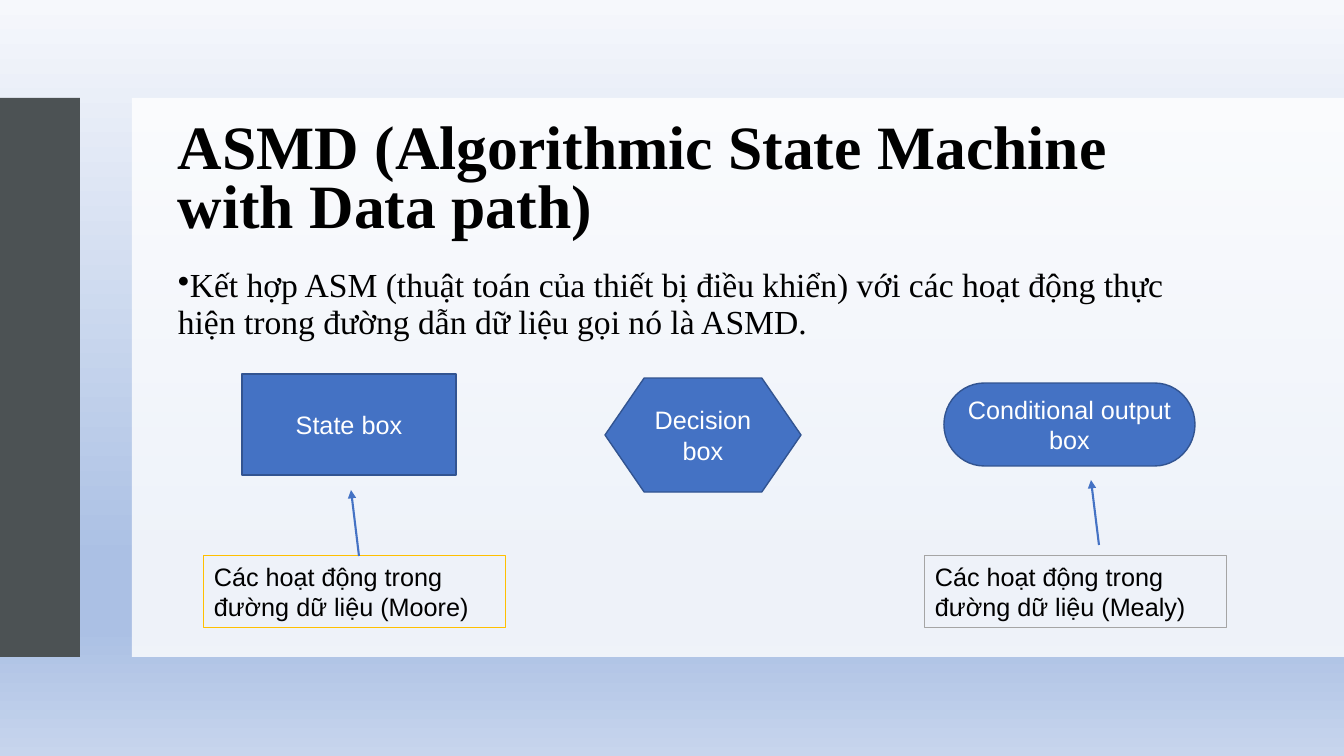
from dataclasses import dataclass
from lxml.etree import SubElement
from pptx import Presentation
from pptx.dml.color import RGBColor
from pptx.enum.shapes import MSO_CONNECTOR, MSO_SHAPE
from pptx.enum.text import MSO_ANCHOR, MSO_AUTO_SIZE, PP_ALIGN
from pptx.oxml.ns import qn
from pptx.util import Pt


@dataclass(frozen=True)
class Theme:
    """Colours, fonts and type sizes of the slide."""
    sky: tuple = ((0, "F6F8FC"), (74, "ABC0E4"), (83, "ABC0E4"), (100, "C7D5ED"))
    slate: str = "4C5254"
    white: str = "FFFFFF"
    black: str = "000000"
    blue: str = "4472C4"
    navy: str = "325491"
    gold: str = "FFC000"
    grey: str = "A5A5A5"
    serif: str = "Times New Roman"
    sans: str = "Arial"
    title: int = 44
    body: int = 24
    label: int = 18


class Board:
    """Draws styled elements on one slide, with lengths in px."""

    def __init__(self, deck, theme):
        self.theme = theme
        self.scale = deck.slide_width / 1344
        self.shapes = deck.slides.add_slide(deck.slide_layouts[6]).shapes

    def emu(self, *sizes):
        """Turn px into EMU."""
        return [round(size * self.scale) for size in sizes]

    def shape(self, kind, area, fill=None, edge=None, width=1):
        """Add a preset shape with plain fill and edge."""
        shape = self.shapes.add_shape(kind, *self.emu(*area))
        shape.shadow.inherit = False
        if fill:
            shape.fill.solid()
            shape.fill.fore_color.rgb = RGBColor.from_string(fill)
        else:
            shape.fill.background()
        if edge:
            shape.line.color.rgb = RGBColor.from_string(edge)
            shape.line.width = Pt(width)
        else:
            shape.line.fill.background()
        return shape

    def fade(self, area, stops):
        """Add a panel with a downward gradient."""
        panel = self.shape(MSO_SHAPE.RECTANGLE, area)
        panel.fill.gradient()
        panel.fill.gradient_angle = 270
        items = panel.element.spPr.find(".//" + qn("a:gsLst"))
        items.clear()
        for place, tint in stops:
            stop = SubElement(items, qn("a:gs"), pos=str(place * 1000))
            SubElement(stop, qn("a:srgbClr"), val=tint)

    def veil(self, area, fill, alpha):
        """Add a see-through panel."""
        panel = self.shape(MSO_SHAPE.RECTANGLE, area, fill)
        tint = panel.element.spPr.find(".//" + qn("a:srgbClr"))
        SubElement(tint, qn("a:alpha"), val=str(alpha * 1000))

    def letter(self, shape, text, size, face, tint, align=PP_ALIGN.LEFT,
               anchor=MSO_ANCHOR.TOP, bold=False):
        """Set the text of a shape and return its paragraph."""
        frame = shape.text_frame
        frame.word_wrap = True
        frame.vertical_anchor = anchor
        line = frame.paragraphs[0]
        line.text = text
        line.alignment = align
        line.font.size = Pt(size)
        line.font.name = face
        line.font.bold = bold
        line.font.color.rgb = RGBColor.from_string(tint)
        return line

    def prose(self, area, text, size, space, mark=None, **style):
        """Add serif text, with a bullet if a mark is given."""
        box = self.shapes.add_textbox(*self.emu(*area))
        line = self.letter(box, text, size, self.theme.serif, self.theme.black, **style)
        line.line_spacing = space
        line.space_after = Pt(6)
        if mark:
            props = line._p.get_or_add_pPr()
            props.set("marL", "0")
            props.set("indent", "-228600")
            bullet = SubElement(props, qn("a:buChar"), char=mark)
            props.find(qn("a:defRPr")).addprevious(bullet)

    def node(self, kind, area, text):
        """Add a blue chart symbol with a centred label."""
        theme = self.theme
        shape = self.shape(kind, area, theme.blue, theme.navy)
        self.letter(shape, text, theme.label, theme.sans, theme.white,
                    PP_ALIGN.CENTER, MSO_ANCHOR.MIDDLE)

    def note(self, area, text, edge):
        """Add a framed note."""
        theme = self.theme
        shape = self.shape(MSO_SHAPE.RECTANGLE, area, None, edge, 0.75)
        self.letter(shape, text, theme.label, theme.sans, theme.black)
        shape.text_frame.auto_size = MSO_AUTO_SIZE.SHAPE_TO_FIT_TEXT

    def arrow(self, start, end):
        """Add a line with an arrowhead at its end."""
        link = self.shapes.add_connector(MSO_CONNECTOR.STRAIGHT, *self.emu(*start, *end))
        link.line.color.rgb = RGBColor.from_string(self.theme.blue)
        link.line.width = Pt(1.5)
        edge = link.element.spPr.find(qn("a:ln"))
        SubElement(edge, qn("a:tailEnd"), type="triangle")
        SubElement(link.element.spPr, qn("a:effectLst"))


def main():
    """Build and save the slide."""
    deck = Presentation()
    deck.slide_width, deck.slide_height = 12192000, 6858000
    theme = Theme()
    board = Board(deck, theme)

    board.fade((0, 0, 1344, 756), theme.sky)
    board.shape(MSO_SHAPE.RECTANGLE, (0, 98, 80, 559), theme.slate)
    board.veil((132, 98, 1212, 559), theme.white, 80)

    board.prose((168, 116, 1043, 130), "ASMD (Algorithmic State Machine with Data path)",
                theme.title, 0.8, anchor=MSO_ANCHOR.MIDDLE, bold=True)
    board.prose((168, 264, 1043, 375),
                "Kết hợp ASM (thuật toán của thiết bị điều khiển) với các hoạt động thực "
                "hiện trong đường dẫn dữ liệu gọi nó là ASMD.",
                theme.body, 0.9, mark="•")

    for kind, area, text in (
        (MSO_SHAPE.RECTANGLE, (242, 374, 214, 101), "State box"),
        (MSO_SHAPE.FLOWCHART_PREPARATION, (605, 378, 196, 114), "Decision box"),
        (MSO_SHAPE.FLOWCHART_TERMINATOR, (944, 383, 251, 83), "Conditional output box"),
    ):
        board.node(kind, area, text)

    for left, model, edge, start, end in (
        (925, "Mealy", theme.grey, (1099, 545), (1091, 480)),
        (204, "Moore", theme.gold, (359, 556), (351, 490)),
    ):
        board.note((left, 556, 302, 72), f"Các hoạt động trong đường dữ liệu ({model})", edge)
        board.arrow(start, end)

    deck.save("out.pptx")


if __name__ == "__main__":
    main()
